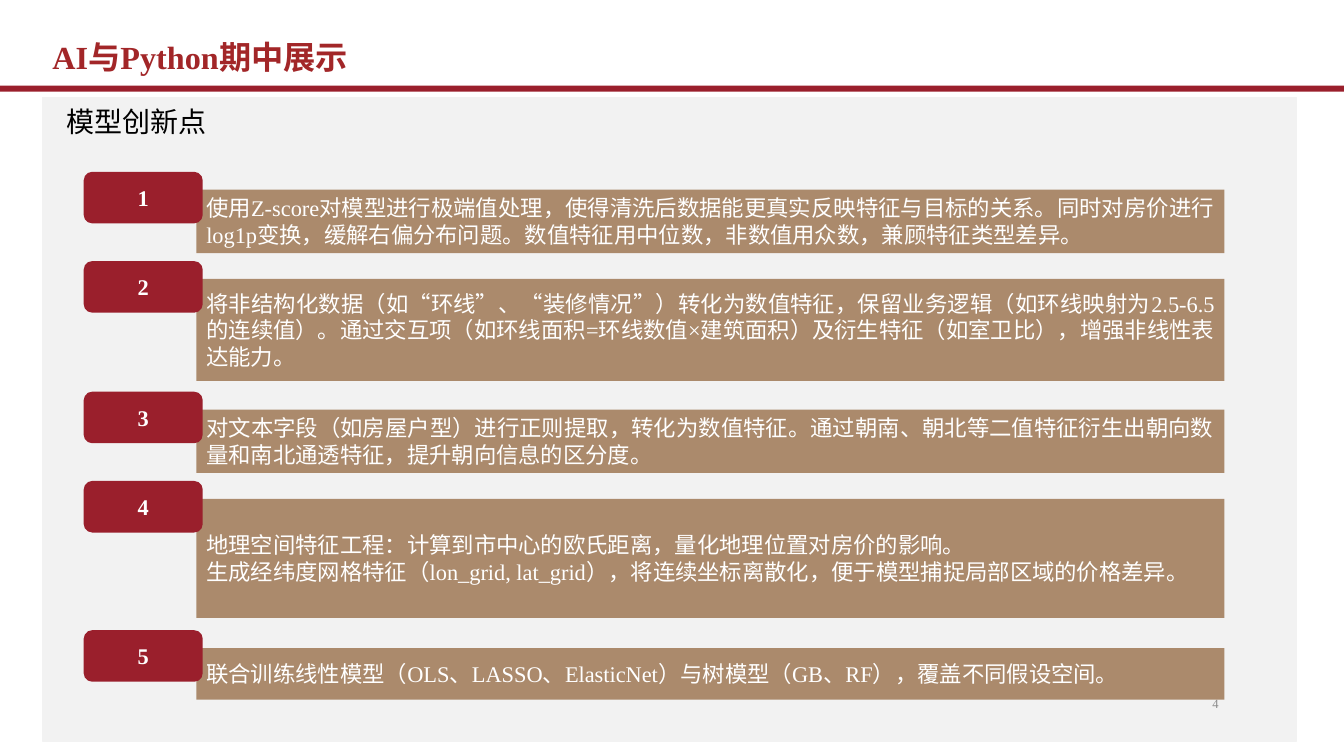
from dataclasses import dataclass

from pptx import Presentation
from pptx.dml.color import RGBColor
from pptx.enum.shapes import MSO_SHAPE
from pptx.enum.text import MSO_ANCHOR, PP_ALIGN
from pptx.shapes.autoshape import Shape
from pptx.slide import Slide
from pptx.util import Cm, Pt

COLORS = {
    "red": "9A1F2C",
    "title": "A22628",
    "panel": "F2F2F2",
    "tan": "AB8A6C",
    "white": "FFFFFF",
    "black": "000000",
    "gray": "8C8C8C",
}
SERIF = "Times New Roman"

# Shared geometry of the numbered points, in centimetres
BAR_LEFT, BAR_WIDTH = 4.95, 25.91
TAG_LEFT, TAG_WIDTH, TAG_HIGH = 2.11, 3.0, 1.3
TAG_RISE = 0.45


@dataclass(frozen=True)
class Box:
    left: float
    top: float
    width: float
    height: float


@dataclass(frozen=True)
class Point:
    top: float
    height: float
    lines: tuple[str, ...]


POINTS = (
    Point(4.78, 1.6, (
        "使用Z-score对模型进行极端值处理，使得清洗后数据能更真实反映特征与目标的关系。"
        "同时对房价进行log1p变换，缓解右偏分布问题。数值特征用中位数，非数值用众数，"
        "兼顾特征类型差异。",
    )),
    Point(7.03, 2.57, (
        "将非结构化数据（如“环线”、“装修情况”）转化为数值特征，保留业务逻辑"
        "（如环线映射为2.5-6.5的连续值）。通过交互项（如环线面积=环线数值×建筑面积）"
        "及衍生特征（如室卫比），增强非线性表达能力。",
    )),
    Point(10.32, 1.6, (
        "对文本字段（如房屋户型）进行正则提取，转化为数值特征。"
        "通过朝南、朝北等二值特征衍生出朝向数量和南北通透特征，提升朝向信息的区分度。",
    )),
    Point(12.57, 3.0, (
        "地理空间特征工程：计算到市中心的欧氏距离，量化地理位置对房价的影响。",
        "生成经纬度网格特征（lon_grid, lat_grid），将连续坐标离散化，"
        "便于模型捕捉局部区域的价格差异。",
    )),
    Point(16.33, 1.3, (
        "联合训练线性模型（OLS、LASSO、ElasticNet）与树模型（GB、RF），覆盖不同假设空间。",
    )),
)


def place(box: Box) -> tuple[Cm, Cm, Cm, Cm]:
    """Give the box as lengths for python-pptx."""
    return Cm(box.left), Cm(box.top), Cm(box.width), Cm(box.height)


def write(shape: Shape, *lines: str, size: float = 16, color: str = "white",
          font: str = SERIF, bold: bool = False, align: PP_ALIGN = PP_ALIGN.LEFT,
          anchor: MSO_ANCHOR = MSO_ANCHOR.MIDDLE, space: float = 1.0) -> None:
    frame = shape.text_frame
    frame.word_wrap = True
    frame.vertical_anchor = anchor
    for i, line in enumerate(lines):
        para = frame.add_paragraph() if i else frame.paragraphs[0]
        para.alignment = align
        para.line_spacing = space
        run = para.add_run()
        run.text = line
        run.font.size = Pt(size)
        run.font.name = font
        run.font.bold = bold
        run.font.color.rgb = RGBColor.from_string(COLORS[color])


def add_block(slide: Slide, box: Box, color: str,
              kind: MSO_SHAPE = MSO_SHAPE.RECTANGLE) -> Shape:
    shape = slide.shapes.add_shape(kind, *place(box))
    shape.shadow.inherit = False
    shape.fill.solid()
    shape.fill.fore_color.rgb = RGBColor.from_string(COLORS[color])
    shape.line.fill.background()
    return shape


def add_label(slide: Slide, box: Box) -> Shape:
    return slide.shapes.add_textbox(*place(box))


def add_point(slide: Slide, num: int, point: Point) -> None:
    """Draw a text bar with its number tag on the upper left corner."""
    bar = add_block(slide, Box(BAR_LEFT, point.top, BAR_WIDTH, point.height), "tan")
    write(bar, *point.lines, align=PP_ALIGN.JUSTIFY)
    spot = Box(TAG_LEFT, point.top - TAG_RISE, TAG_WIDTH, TAG_HIGH)
    tag = add_block(slide, spot, "red", MSO_SHAPE.ROUNDED_RECTANGLE)
    write(tag, str(num), bold=True, align=PP_ALIGN.CENTER)


def main() -> None:
    deck = Presentation()
    deck.slide_width, deck.slide_height = Cm(33.87), Cm(19.05)
    slide = deck.slides.add_slide(deck.slide_layouts[6])

    add_block(slide, Box(0, 2.16, 33.87, 0.15), "red")
    write(add_label(slide, Box(1.07, 0.99, 29.21, 1.02)), "AI与Python期中展示",
          size=23, color="title", bold=True, space=0.9)

    panel = add_block(slide, Box(1.07, 2.46, 31.6, 16.21), "panel")
    panel.line.color.rgb = RGBColor.from_string(COLORS["panel"])
    panel.line.width = Pt(1)

    write(add_label(slide, Box(30.1, 17.22, 0.86, 1.02)), "4",
          size=9, color="gray", align=PP_ALIGN.RIGHT)
    write(add_label(slide, Box(1.42, 2.51, 30.86, 1.96)), "模型创新点",
          size=20, color="black", font="Arial", anchor=MSO_ANCHOR.TOP)

    for num, point in enumerate(POINTS, 1):
        add_point(slide, num, point)

    deck.save("out.pptx")


if __name__ == "__main__":
    main()
